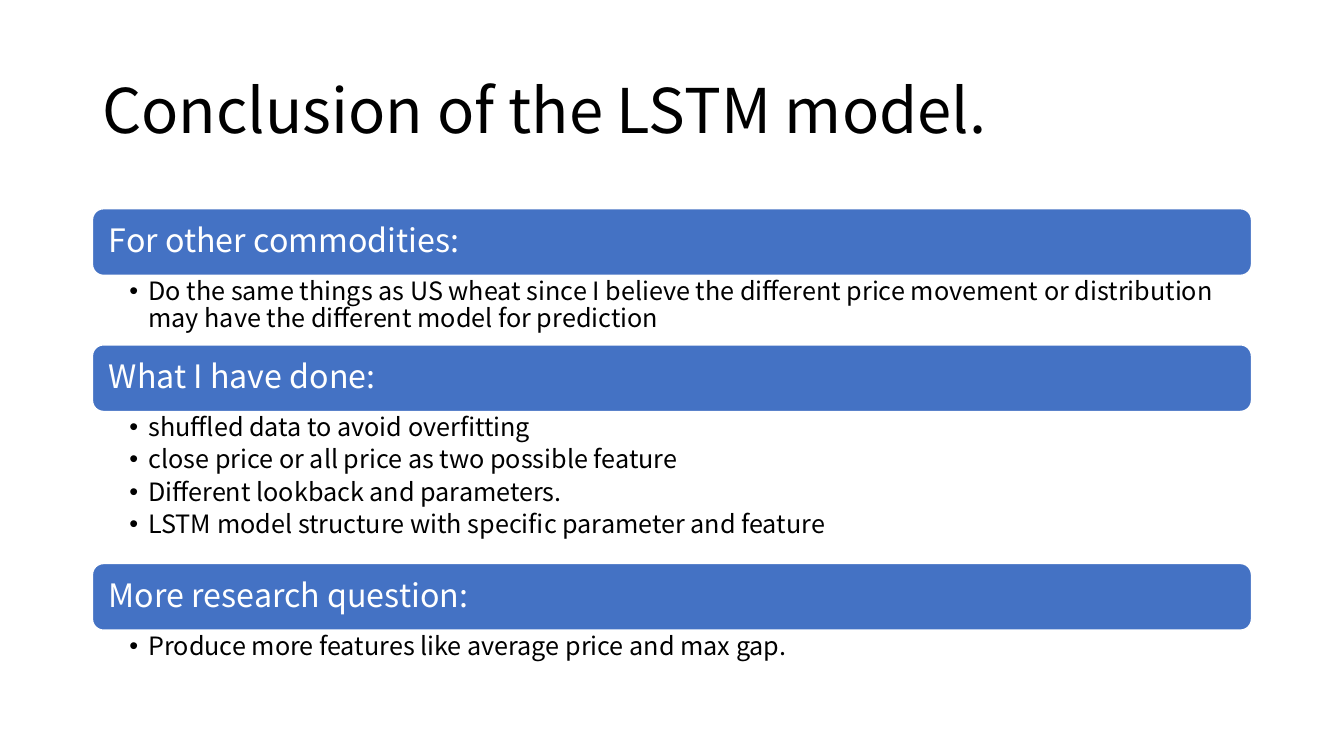
from dataclasses import dataclass
from lxml.etree import SubElement
from pptx import Presentation
from pptx.dml.color import RGBColor
from pptx.enum.shapes import MSO_SHAPE as SHAPE
from pptx.enum.text import MSO_ANCHOR as ANCHOR, MSO_AUTO_SIZE as AUTOSIZE, PP_ALIGN as ALIGN
from pptx.oxml.ns import qn
from pptx.util import Cm, Pt

# Content: heading, list items, height of the list in cm
TITLE = "Conclusion of the LSTM model."
SECTIONS = [
    ("For other commodities:",
     ["Do the same things as US wheat since I believe the different price "
      "movement or distribution may have the different model for prediction"], 1.75),
    ("What I have done:",
     ["shuffled data to avoid overfitting",
      "close price or all price as two possible feature",
      "Different lookback and parameters.",
      "LSTM model structure with specific parameter and feature"], 3.83),
    ("More research question:",
     ["Produce more features like average price and max gap."], 1.07),
]


@dataclass(frozen=True)
class Theme:
    font: str = "Noto Sans CJK SC"
    black: RGBColor = RGBColor(0, 0, 0)
    white: RGBColor = RGBColor(255, 255, 255)
    blue: RGBColor = RGBColor(0x44, 0x72, 0xC4)
    title: int = 44
    heading: int = 23
    item: int = 18


T = Theme()
LEFT, WIDTH = 2.33, 29.21
TOP, BAR_H = 5.26, 1.68
INDENT = Cm(0.48)


def add_bullet(p):
    pPr = p._p.get_or_add_pPr()
    pPr.set("marL", str(INDENT))
    pPr.set("indent", str(-INDENT))
    SubElement(pPr, qn("a:buFont"), typeface="Arial")
    SubElement(pPr, qn("a:buChar"), char="•")


def write(sp, lines, size, color=T.black, anchor=ANCHOR.TOP,
          insets=(0.25, 0.13, 0.25, 0.13), bullet=False, after=0):
    tf = sp.text_frame
    tf.word_wrap, tf.auto_size, tf.vertical_anchor = True, AUTOSIZE.NONE, anchor
    tf.margin_left, tf.margin_top, tf.margin_right, tf.margin_bottom = map(Cm, insets)
    for i, line in enumerate(lines):
        p = tf.add_paragraph() if i else tf.paragraphs[0]
        if bullet:
            add_bullet(p)
        p.alignment, p.line_spacing = ALIGN.LEFT, 0.9
        p.space_before, p.space_after = Pt(0), Pt(after)
        r = p.add_run()
        r.text = line
        r.font.name, r.font.size, r.font.bold = T.font, Pt(size), False
        r.font.color.rgb = color
        SubElement(r.font._element, qn("a:ea"), typeface=T.font)


def place(sp, top, height):
    sp.left, sp.top, sp.width, sp.height = Cm(LEFT), Cm(top), Cm(WIDTH), Cm(height)


prs = Presentation()
prs.slide_width, prs.slide_height = Cm(33.87), Cm(19.05)
s = prs.slides.add_slide(prs.slide_layouts.get_by_name("Comparison"))
title, *bodies = [sp for sp in s.placeholders if sp.placeholder_format.idx < 10]

# Title
place(title, 1.01, 3.68)
write(title, [TITLE], T.title, anchor=ANCHOR.MIDDLE)

# Heading bars, each with its list below
top = TOP
for (heading, items, list_h), body in zip(SECTIONS, bodies):
    bar = s.shapes.add_shape(SHAPE.ROUNDED_RECTANGLE, Cm(LEFT), Cm(top), Cm(WIDTH), Cm(BAR_H))
    bar.shadow.inherit = False
    bar.fill.solid()
    bar.fill.fore_color.rgb = T.blue
    bar.line.color.rgb, bar.line.width = T.white, Pt(1)
    write(bar, [heading], T.heading, T.white, ANCHOR.MIDDLE, (0.33, 0.25, 0.33, 0.25))
    place(body, top + BAR_H, list_h)
    write(body, items, T.item, insets=(0.93, 0.08, 0.46, 0.08), bullet=True, after=3.6)
    top += BAR_H + list_h

# Unused placeholders of the layout
for sp in bodies[len(SECTIONS):]:
    sp.element.getparent().remove(sp.element)

prs.save("out.pptx")
